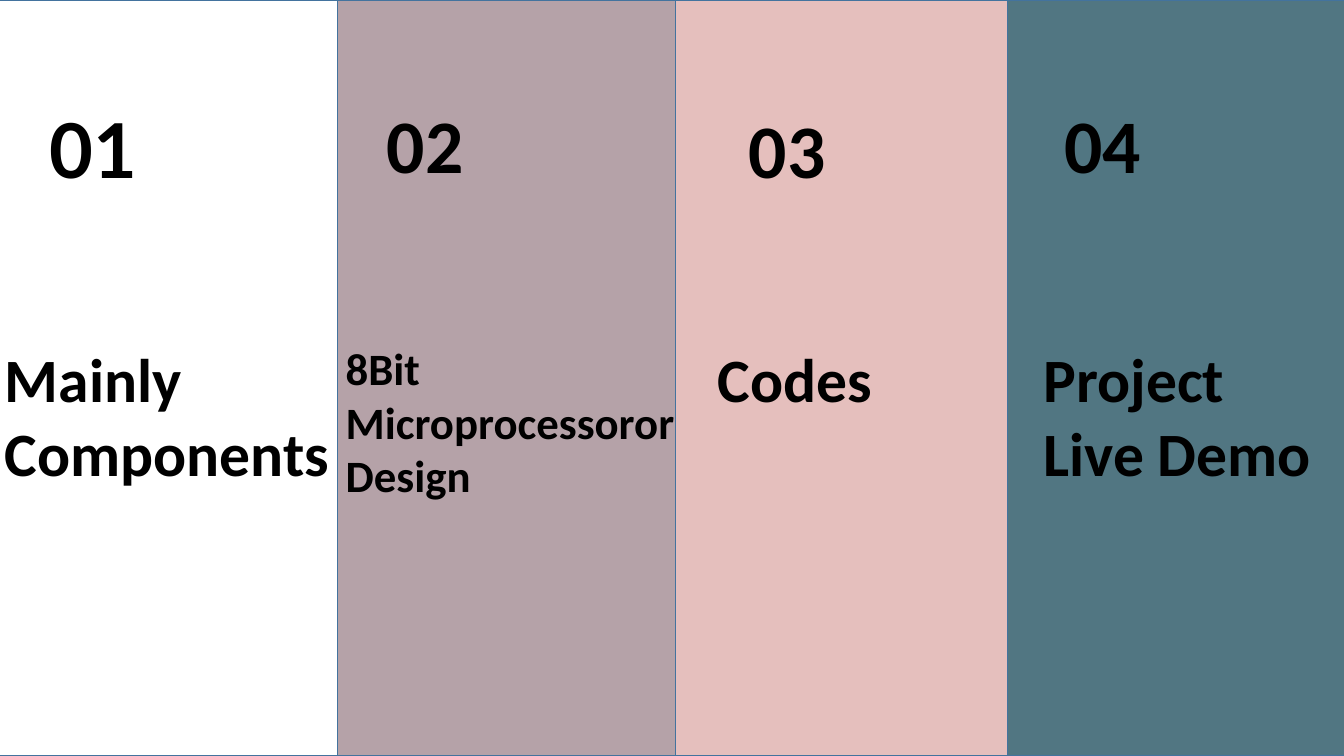
"""Build a four-panel agenda slide."""
from pptx import Presentation
from pptx.dml.color import RGBColor as Rgb
from pptx.enum.shapes import MSO_SHAPE as Shape
from pptx.enum.text import MSO_AUTO_SIZE as Fit
from pptx.util import Inches, Pt

HUES = {"white": "FFFFFF", "mauve": "B5A2A8", "pink": "E5BFBD",
        "teal": "517682", "edge": "43739E", "ink": "000000"}
START, TALL = -0.05, 7.5
PANELS = [("white", 3.4), ("mauve", 3.35), ("pink", 3.29), ("teal", 3.35)]
NUMBERS = [
    ("01", (0.39, 0.97, 2.33, 1.01), "Lato"),
    ("02", (3.74, 0.92, 1.96, 1.01), "Calibri"),
    ("03", (7.33, 0.97, 2.03, 1.01), "Calibri"),
    ("04", (10.46, 0.92, 2.1, 1.01), "Calibri"),
]
TITLES = [
    ("Mainly\nComponents", (-0.05, 3.33, 3.45, 1.58), 44),
    ("Codes", (7.02, 3.33, 2.82, 0.84), 44),
    ("Project Live Demo", (10.25, 3.33, 2.97, 1.58), 44),
    ("8Bit Microprocessoror Design", (3.33, 3.33, 3.69, 1.72), 32),
]


def hue(name):
    """Return the named colour."""
    return Rgb.from_string(HUES[name])


def panel(slide, name, left, width):
    """Draw one full-height colour panel."""
    box = slide.shapes.add_shape(Shape.RECTANGLE, *map(Inches, (left, 0, width, TALL)))
    box.shadow.inherit = False
    box.fill.solid()
    box.fill.fore_color.rgb = hue(name)
    box.line.color.rgb = hue("edge")
    box.line.width = Pt(1)


def label(slide, text, place, size, face="Calibri"):
    """Write bold text, one paragraph for each line."""
    frame = slide.shapes.add_textbox(*map(Inches, place)).text_frame
    frame.word_wrap = True
    frame.auto_size = Fit.SHAPE_TO_FIT_TEXT
    frame.text = text
    style = {"name": face, "size": Pt(size), "bold": True}
    for para in frame.paragraphs:
        for run in para.runs:
            for key, value in style.items():
                setattr(run.font, key, value)
            run.font.color.rgb = hue("ink")


def main():
    """Build and save the slide."""
    deck = Presentation()
    deck.slide_width, deck.slide_height = Inches(13.33), Inches(TALL)
    slide = deck.slides.add_slide(deck.slide_layouts[6])
    left = START
    for name, step in PANELS:
        panel(slide, name, left, step)
        left += step
    for text, place, face in NUMBERS:
        label(slide, text, place, 54, face)
    for text, place, size in TITLES:
        label(slide, text, place, size)
    deck.save("out.pptx")


if __name__ == "__main__":
    main()
